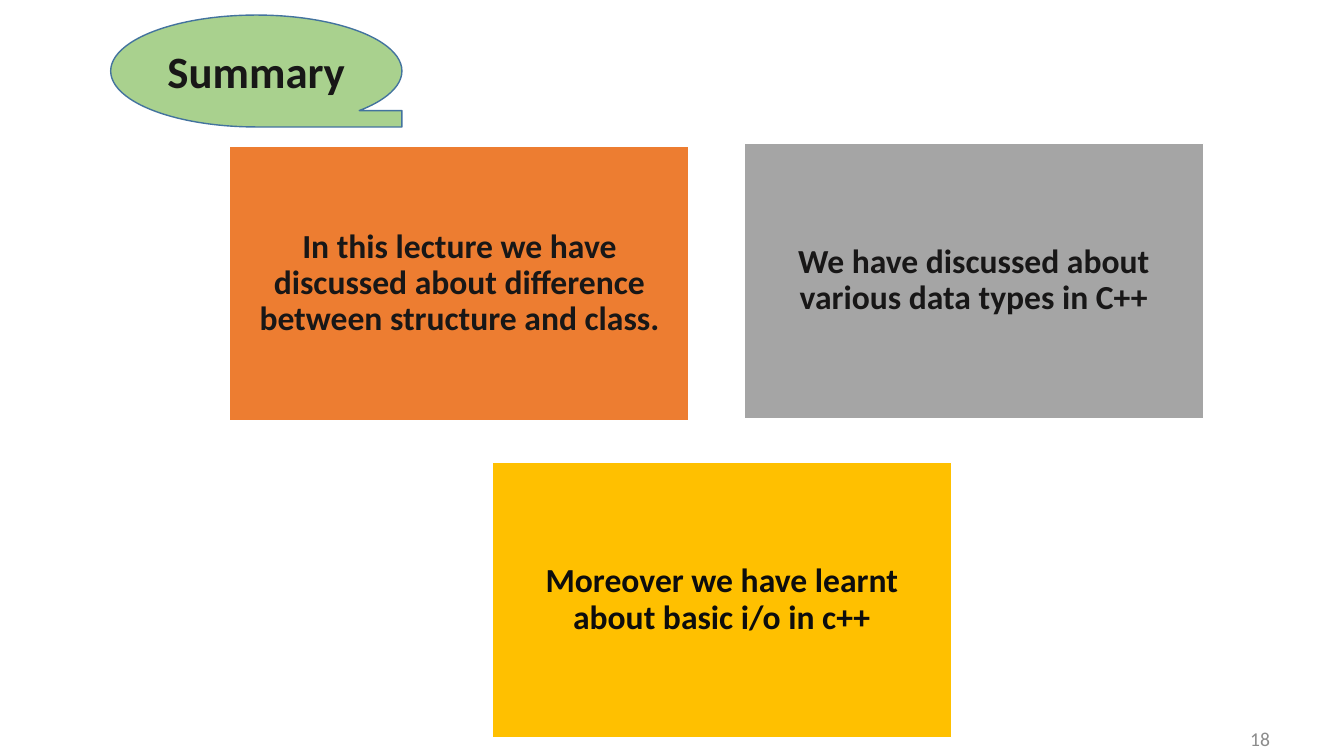
import pptx
import pptx.dml.color
import pptx.enum.shapes
import pptx.enum.text
import pptx.util

Cm = pptx.util.Cm
Pt = pptx.util.Pt
ALIGN = pptx.enum.text.PP_ALIGN
SHAPES = pptx.enum.shapes.MSO_SHAPE

INK = "181717"
SUMMARY_AREA = (2.79, 0.38, 7.34, 2.82)
CARD_SIZE = (11.58, 6.93)
CARDS = [
    ((5.79, 3.68), "ED7D31", INK,
     "In this lecture we have discussed about difference between structure and class."),
    ((18.75, 3.61), "A5A5A5", INK,
     "We have discussed about various data types in C++"),
    ((12.4, 11.66), "FFC000", "0D0D0D",
     "Moreover we have learnt about basic i/o in c++"),
]


def color(hex_string):
    return pptx.dml.color.RGBColor.from_string(hex_string)


def set_all(target, values):
    for attribute, value in values.items():
        setattr(target, attribute, value)


def write(holder, text, size, ink, bold=True, align=ALIGN.CENTER, inset=0.25, **spacing):
    """Fill a shape or placeholder with one vertically centred paragraph."""
    frame = holder.text_frame
    frame.text = text
    set_all(frame, {
        "word_wrap": True,
        "auto_size": pptx.enum.text.MSO_AUTO_SIZE.NONE,
        "vertical_anchor": pptx.enum.text.MSO_ANCHOR.MIDDLE,
        "margin_left": Cm(0.25),
        "margin_right": Cm(0.25),
        "margin_top": Cm(inset),
        "margin_bottom": Cm(inset),
    })
    paragraph = frame.paragraphs[0]
    set_all(paragraph, {"alignment": align, **spacing})
    font = paragraph.runs[0].font
    set_all(font, {"name": "Calibri", "size": Pt(size), "bold": bold})
    font.color.rgb = color(ink)


def add_filled(slide, preset, area, fill, line):
    shape = slide.shapes.add_shape(preset, *map(Cm, area))
    shape.shadow.inherit = False
    shape.fill.solid()
    shape.fill.fore_color.rgb = color(fill)
    shape.line.color.rgb = color(line)
    shape.line.width = Pt(1)
    return shape


def add_summary_title(slide):
    tape = add_filled(slide, SHAPES.FLOWCHART_SEQUENTIAL_ACCESS_STORAGE,
                      SUMMARY_AREA, "A9D18E", "43739E")
    heading = slide.shapes.title
    set_all(heading, dict(zip(("left", "top", "width", "height"), map(Cm, SUMMARY_AREA))))
    write(heading, "Summary", 32, INK)
    # Bring the heading in front of its tape
    tape._element.addnext(heading._element)


def add_card(slide, corner, fill, ink, text):
    card = add_filled(slide, SHAPES.RECTANGLE, corner + CARD_SIZE, fill, "FFFFFF")
    write(card, text, 24, ink, line_spacing=0.9, space_after=Pt(8.4))


def add_page_number(slide):
    page_number = slide.shapes.add_textbox(Cm(26.57), Cm(18.54), Cm(5.69), Cm(0.13))
    write(page_number, "18", 14, "8C8C8C", bold=False, align=ALIGN.RIGHT, inset=0)


def main():
    deck = pptx.Presentation()
    set_all(deck, {"slide_width": Cm(33.87), "slide_height": Cm(19.05)})
    slide = deck.slides.add_slide(deck.slide_layouts.get_by_name("Title Only"))

    # Heading and page number
    add_page_number(slide)
    add_summary_title(slide)

    # Takeaway cards
    for card in CARDS:
        add_card(slide, *card)

    deck.save("out.pptx")


if __name__ == "__main__":
    main()
